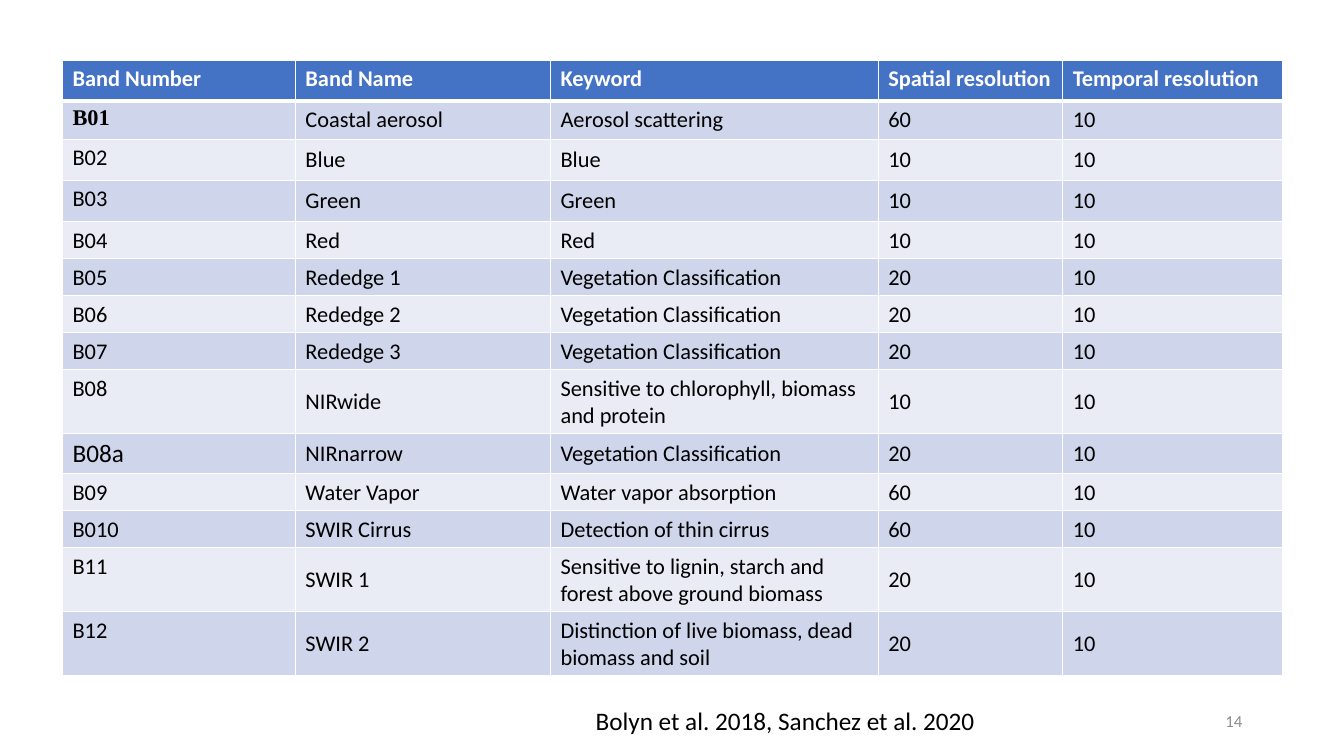
from lxml import etree
from pptx import Presentation
from pptx import util as u
from pptx.dml.color import RGBColor
from pptx.enum import text
from pptx.oxml.ns import qn

SLIDE_W, SLIDE_H = 13.33, 7.5
HEADER_FILL, BAND_FILLS = "4472C4", ("CFD5EA", "E9EBF5")
BLACK, WHITE, GREY = "000000", "FFFFFF", "8C8C8C"
COLUMN_WIDTHS = (2.31, 2.53, 3.25, 1.83, 2.18)
ROW_HEIGHTS = (0.4, 0.38, 0.41, 0.41) + (0.35,) * 10
FOOTER_TOP, FOOTER_H = 6.95, 0.4

HEADINGS = ("Band Number", "Band Name", "Keyword",
            "Spatial resolution", "Temporal resolution")
TEMPORAL_RESOLUTION = "10"
BANDS = (
    ("B01", "Coastal aerosol", "Aerosol scattering", "60"),
    ("B02", "Blue", "Blue", "10"),
    ("B03", "Green", "Green", "10"),
    ("B04", "Red", "Red", "10"),
    ("B05", "Rededge 1", "Vegetation Classification", "20"),
    ("B06", "Rededge 2", "Vegetation Classification", "20"),
    ("B07", "Rededge 3", "Vegetation Classification", "20"),
    ("B08", "NIRwide", "Sensitive to chlorophyll, biomass and protein", "10"),
    ("B08a", "NIRnarrow", "Vegetation Classification", "20"),
    ("B09", "Water Vapor", "Water vapor absorption", "60"),
    ("B010", "SWIR Cirrus", "Detection of thin cirrus", "60"),
    ("B11", "SWIR 1", "Sensitive to lignin, starch and forest above ground biomass", "20"),
    ("B12", "SWIR 2", "Distinction of live biomass, dead biomass and soil", "20"),
)
SPECIAL_FORMATS = {
    "B01": {"name": "Times New Roman", "bold": True},
    "B08a": {"size": u.Pt(18)},
}


def rgb(hex_color):
    return RGBColor.from_string(hex_color)


def write(frame, wording, color, **formats):
    """Put one formatted run into the frame and return its paragraph."""
    paragraph = frame.paragraphs[0]
    run = paragraph.add_run()
    run.text = wording
    run.font.color.rgb = rgb(color)
    defaults = {"name": "Calibri", "size": u.Pt(16), "bold": False}
    for attribute, value in {**defaults, **formats}.items():
        setattr(run.font, attribute, value)
    return paragraph


def add_borders(cell, top=1, bottom=1):
    """Draw white cell borders; must run before the cell gets its fill."""
    properties = cell._tc.get_or_add_tcPr()
    for side, points in {"L": 1, "R": 1, "T": top, "B": bottom}.items():
        line = etree.SubElement(properties, qn(f"a:ln{side}"), w=str(u.Pt(points)))
        fill = etree.SubElement(line, qn("a:solidFill"))
        etree.SubElement(fill, qn("a:srgbClr"), val=WHITE)


def fill_cell(cell, wording, row, column):
    heading = row == 0
    add_borders(cell, top=3 if row == 1 else 1, bottom=3 if heading else 1)
    cell.fill.solid()
    cell.fill.fore_color.rgb = rgb(HEADER_FILL if heading else BAND_FILLS[(row - 1) % 2])
    if row > 1 and column > 0:
        cell.vertical_anchor = text.MSO_ANCHOR.MIDDLE
    formats = {"bold": heading, **SPECIAL_FORMATS.get(wording, {})}
    write(cell.text_frame, wording, WHITE if heading else BLACK, **formats)


def add_band_table(slide, left, top):
    rows = [HEADINGS] + [band + (TEMPORAL_RESOLUTION,) for band in BANDS]
    table = slide.shapes.add_table(
        len(rows), len(HEADINGS), u.Inches(left), u.Inches(top),
        u.Inches(sum(COLUMN_WIDTHS)), u.Inches(sum(ROW_HEIGHTS))).table
    for column, width in zip(table.columns, COLUMN_WIDTHS):
        column.width = u.Inches(width)
    for row, height in zip(table.rows, ROW_HEIGHTS):
        row.height = u.Inches(height)
    for r, wordings in enumerate(rows):
        for c, wording in enumerate(wordings):
            fill_cell(table.cell(r, c), wording, r, c)


def add_footer(slide, wording, left, width, color, size, align, **frame_formats):
    frame = slide.shapes.add_textbox(
        *map(u.Inches, (left, FOOTER_TOP, width, FOOTER_H))).text_frame
    for attribute, value in frame_formats.items():
        setattr(frame, attribute, value)
    write(frame, wording, color, size=u.Pt(size)).alignment = align


def main():
    deck = Presentation()
    deck.slide_width, deck.slide_height = u.Inches(SLIDE_W), u.Inches(SLIDE_H)
    slide = deck.slides.add_slide(deck.slide_layouts[6])
    add_footer(slide, "14", 9.42, 3, GREY, 12, text.PP_ALIGN.RIGHT,
               word_wrap=True, vertical_anchor=text.MSO_ANCHOR.MIDDLE)
    add_band_table(slide, 0.62, 0.6)
    add_footer(slide, "Bolyn et al. 2018, Sanchez et al. 2020", 5.81, 4, BLACK, 18,
               text.PP_ALIGN.LEFT, word_wrap=False,
               auto_size=text.MSO_AUTO_SIZE.SHAPE_TO_FIT_TEXT)
    deck.save("out.pptx")


if __name__ == "__main__":
    main()
